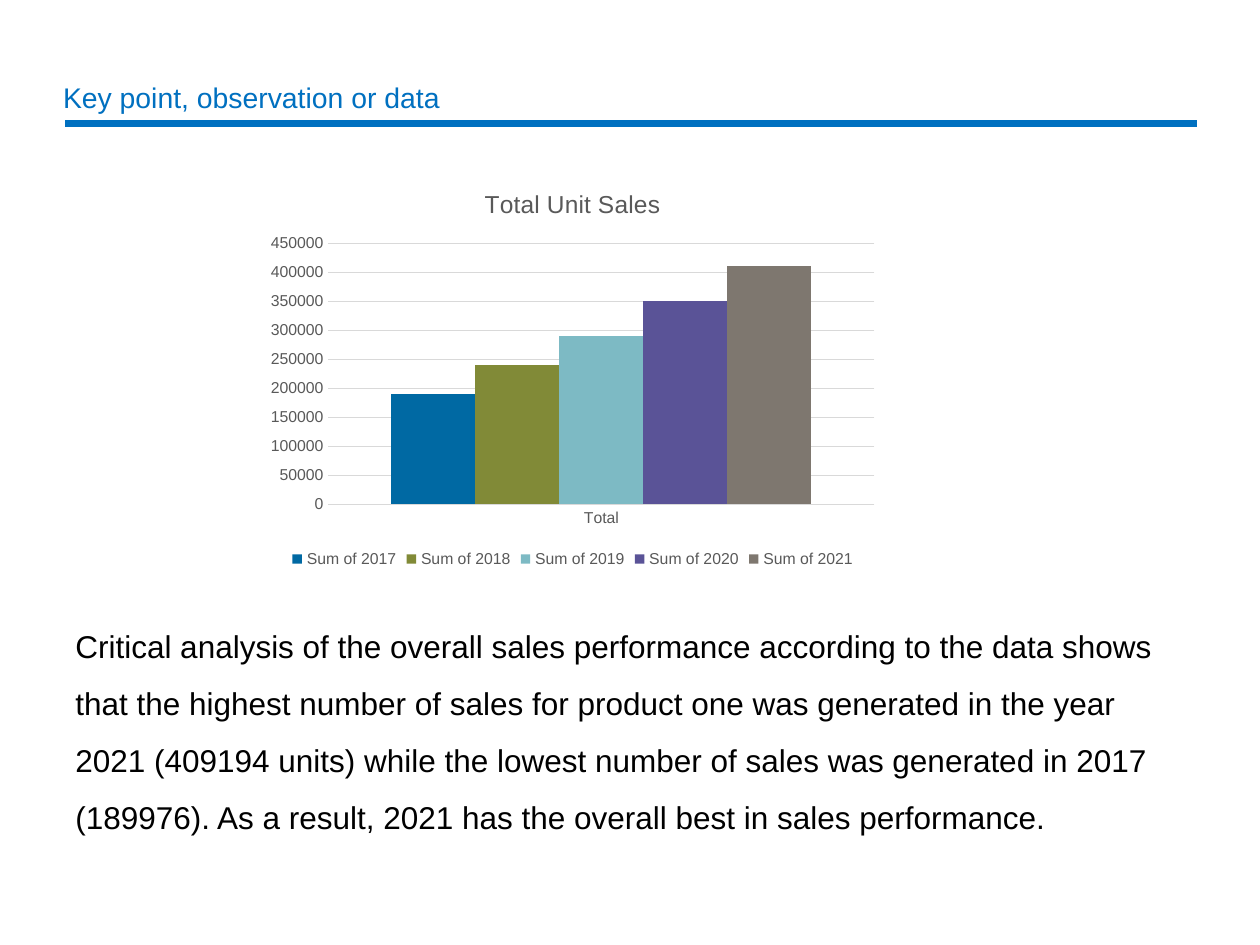
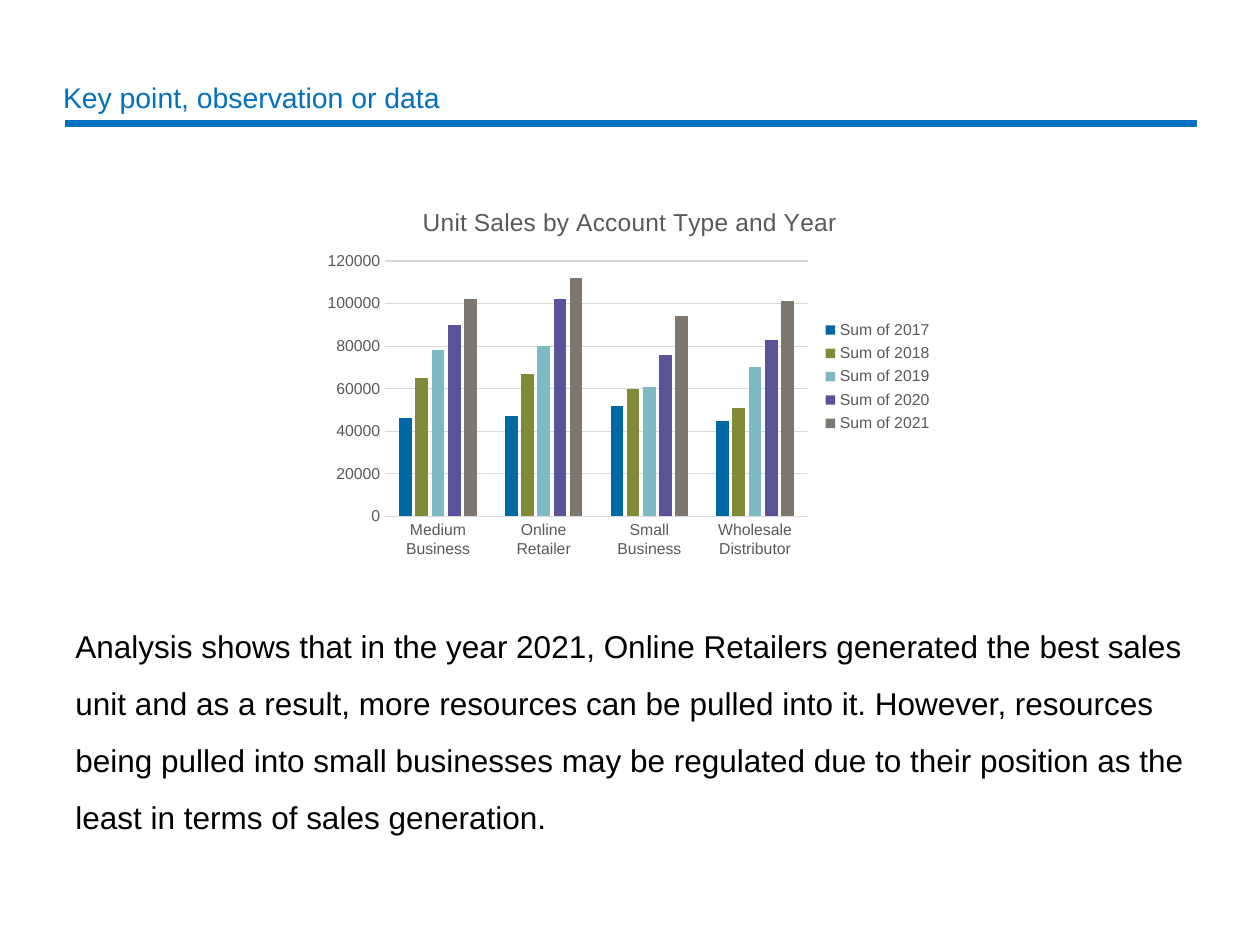
"""Build two sales slides, each with a ruled title, a column chart and an analysis."""
from lxml.etree import SubElement
from pptx import Presentation
from pptx.chart.data import CategoryChartData
from pptx.dml.color import RGBColor
from pptx.enum.chart import XL_CHART_TYPE, XL_LEGEND_POSITION, XL_TICK_MARK
from pptx.enum.shapes import MSO_CONNECTOR
from pptx.enum.text import MSO_ANCHOR, MSO_AUTO_SIZE, PP_ALIGN
from pptx.oxml.ns import qn
from pptx.util import Pt

BLUE = RGBColor(0x00, 0x70, 0xC0)
BLACK = RGBColor(0x00, 0x00, 0x00)
GRAY = RGBColor(0x59, 0x59, 0x59)
GRID = RGBColor(0xD9, 0xD9, 0xD9)
SERIES_COLORS = [
    RGBColor(0x00, 0x69, 0xA3),
    RGBColor(0x81, 0x8A, 0x37),
    RGBColor(0x7D, 0xBA, 0xC4),
    RGBColor(0x5A, 0x53, 0x97),
    RGBColor(0x7E, 0x77, 0x6F),
]
FONT = "Arial"
YEARS = range(2017, 2022)

SLIDES = [
    {
        "title": "Total Unit Sales",
        "box": (147.6, 96.5, 359.3, 231.1),
        "categories": ["Total"],
        "values": [[190000], [240000], [290000], [350000], [410000]],
        "scale": (450000, 50000),
        "legend": XL_LEGEND_POSITION.BOTTOM,
        "plot": {"gap_width": 150, "overlap": 0},
        "axis_line": False,
        "text": "Critical analysis of the overall sales performance according to the data "
                "shows that the highest number of sales for product one was generated in the "
                "year 2021 (409194 units) while the lowest number of sales was generated in "
                "2017 (189976). As a result, 2021 has the overall best in sales performance.",
    },
    {
        "title": "Unit Sales by Account Type and Year",
        "box": (180, 107.3, 360, 216),
        "categories": ["Medium Business", "Online Retailer", "Small Business",
                       "Wholesale Distributor"],
        "values": [
            [46000, 47000, 52000, 45000],
            [65000, 67000, 60000, 51000],
            [78000, 80000, 61000, 70000],
            [90000, 102000, 76000, 83000],
            [102000, 112000, 94000, 101000],
        ],
        "scale": (120000, 20000),
        "legend": XL_LEGEND_POSITION.RIGHT,
        "plot": {"gap_width": 219, "overlap": -27},
        "axis_line": True,
        "text": "Analysis shows that in the year 2021, Online Retailers generated the best "
                "sales unit and as a result, more resources can be pulled into it. However, "
                "resources being pulled into small businesses may be regulated due to their "
                "position as the least in terms of sales generation.",
    },
]


def set_attrs(obj, **values):
    for name, value in values.items():
        setattr(obj, name, value)


def set_font(font, size, color):
    set_attrs(font, name=FONT, size=Pt(size), bold=False)
    font.color.rgb = color


prs = Presentation()
set_attrs(prs, slide_width=Pt(720), slide_height=Pt(540))

for spec_data in SLIDES:
    s = prs.slides.add_slide(prs.slide_layouts[5])

    rule = s.shapes.add_connector(MSO_CONNECTOR.STRAIGHT, Pt(37.4), Pt(70.6), Pt(684), Pt(70.6))
    rule.line.color.rgb = BLUE
    rule.line.width = Pt(4.5)
    SubElement(rule.line._get_or_add_ln().getparent(), qn("a:effectLst"))

    title = s.shapes.title
    set_attrs(title, left=Pt(36), top=Pt(46), width=Pt(648), height=Pt(21.6))
    tf = title.text_frame
    set_attrs(tf, text="Key point, observation or data", auto_size=MSO_AUTO_SIZE.NONE,
              vertical_anchor=MSO_ANCHOR.MIDDLE, margin_left=0, margin_right=0,
              margin_top=Pt(3.6), margin_bottom=Pt(3.6))
    p = tf.paragraphs[0]
    set_attrs(p, alignment=PP_ALIGN.LEFT, line_spacing=0.9)
    set_font(p.runs[0].font, 16.2, BLUE)

    data = CategoryChartData()
    data.categories = spec_data["categories"]
    for year, values in zip(YEARS, spec_data["values"]):
        data.add_series(f"Sum of {year}", values)
    box = [Pt(length) for length in spec_data["box"]]
    chart = s.shapes.add_chart(XL_CHART_TYPE.COLUMN_CLUSTERED, *box, data).chart
    set_font(chart.font, 10, BLACK)

    chart.has_title = True
    chart.chart_title.include_in_layout = False
    tf = chart.chart_title.text_frame
    tf.text = spec_data["title"]
    set_font(tf.paragraphs[0].runs[0].font, 14, GRAY)

    chart.has_legend = True
    set_attrs(chart.legend, position=spec_data["legend"], include_in_layout=False)
    set_font(chart.legend.font, 9, GRAY)

    plot = chart.plots[0]
    set_attrs(plot, vary_by_categories=False, **spec_data["plot"])
    for series, color in zip(plot.series, SERIES_COLORS):
        series.format.fill.solid()
        series.format.fill.fore_color.rgb = color

    for axis in (chart.category_axis, chart.value_axis):
        set_attrs(axis, major_tick_mark=XL_TICK_MARK.NONE, minor_tick_mark=XL_TICK_MARK.NONE)
        set_font(axis.tick_labels.font, 9, GRAY)
        axis.format.line.fill.background()
    maximum, step = spec_data["scale"]
    set_attrs(chart.value_axis, minimum_scale=0, maximum_scale=maximum, major_unit=step,
              has_major_gridlines=True)
    lines = [chart.value_axis.major_gridlines.format.line]
    if spec_data["axis_line"]:
        lines.append(chart.category_axis.format.line)
    for line in lines:
        line.color.rgb = GRID
        line.width = Pt(0.75)

    tf = s.shapes.add_textbox(Pt(36), Pt(344.2), Pt(648), Pt(133.9)).text_frame
    set_attrs(tf, word_wrap=True, auto_size=MSO_AUTO_SIZE.SHAPE_TO_FIT_TEXT)
    p = tf.paragraphs[0]
    p.line_spacing = 1.5
    r = p.add_run()
    r.text = spec_data["text"]
    set_font(r.font, 18, BLACK)

prs.save("out.pptx")
